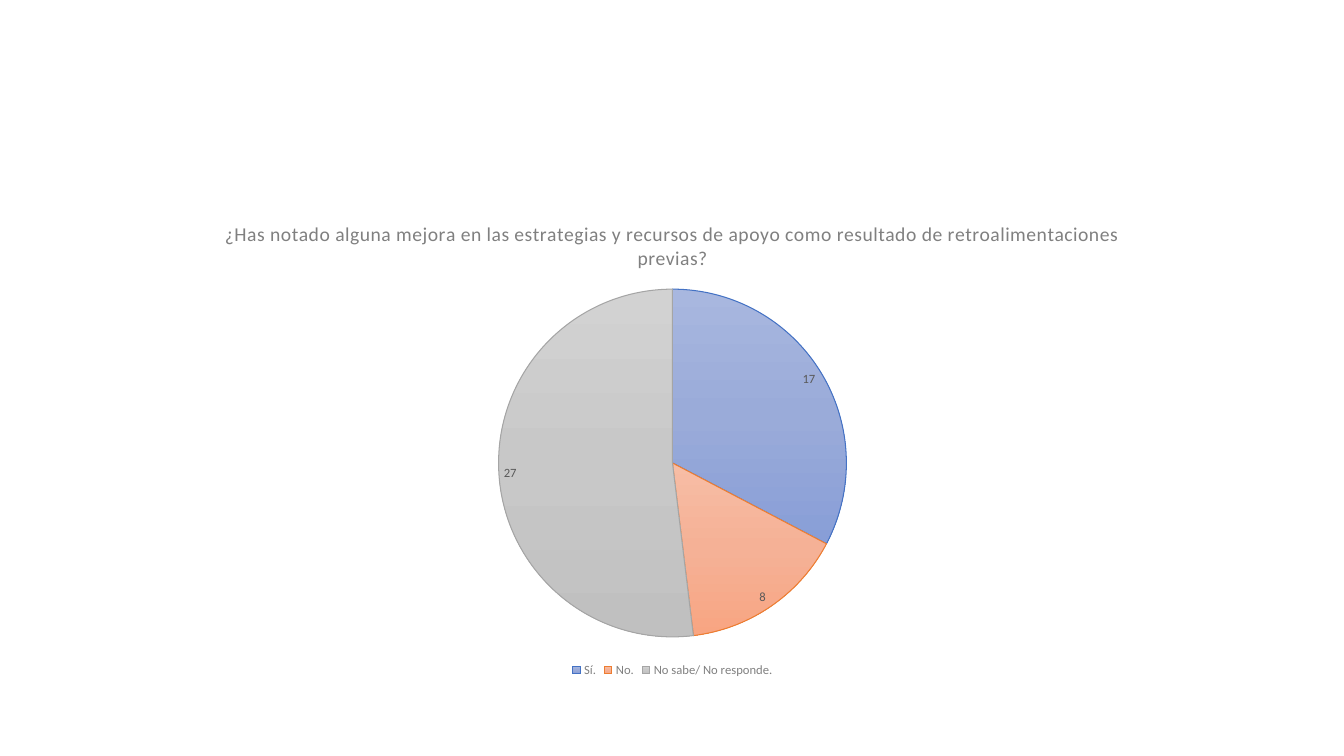
from copy import deepcopy

from lxml import etree
from pptx import Presentation
from pptx import util as u
from pptx.chart import data as cd
from pptx.dml.color import RGBColor
from pptx.enum import chart as ec
from pptx.oxml import ns

TITLE = "¿Has notado alguna mejora en las estrategias y recursos de apoyo como resultado de retroalimentaciones previas?"
GRAY = RGBColor(0x80, 0x80, 0x80)
DARK = RGBColor(0x59, 0x59, 0x59)
BLACK = RGBColor(0, 0, 0)
BLUE = RGBColor(0x44, 0x72, 0xC4)
BLUES = [RGBColor(0xA8, 0xB7, 0xDF), RGBColor(0x9A, 0xAB, 0xD9), RGBColor(0x88, 0x9E, 0xD7)]
CORAL = RGBColor(0xED, 0x7D, 0x31)
CORALS = [RGBColor(0xF7, 0xBD, 0xA5), RGBColor(0xF5, 0xB1, 0x96), RGBColor(0xF8, 0xA5, 0x82)]
SILVER = RGBColor(0xA5, 0xA5, 0xA5)
SILVERS = [RGBColor(0xD2, 0xD2, 0xD2), RGBColor(0xC8, 0xC8, 0xC8), RGBColor(0xC0, 0xC0, 0xC0)]
SLICES = [("Sí.", 17, BLUE, BLUES), ("No.", 8, CORAL, CORALS),
          ("No sabe/ No responde.", 27, SILVER, SILVERS)]


def style(font, size, color):
    font.name = "Calibri"
    font.size = u.Pt(size)
    font.bold = False
    font.color.rgb = color


def add_pie(slide):
    data = cd.CategoryChartData()
    data.categories = [name for name, *_ in SLICES]
    data.add_series("Series 1", [value for _, value, *_ in SLICES])
    frame = slide.shapes.add_chart(ec.XL_CHART_TYPE.PIE, u.Inches(0.92), u.Inches(2),
                                   u.Inches(11.5), u.Inches(4.76), data)
    chart = frame.chart
    style(chart.font, 10, BLACK)
    chart.plots[0].vary_by_categories = True
    return chart


def set_title(chart):
    chart.has_title = True
    para = chart.chart_title.text_frame.paragraphs[0]
    para.text = TITLE
    style(para.font, 14, GRAY)
    para._p.find(".//" + ns.qn("a:defRPr")).set("spc", "25")
    chart.chart_title.include_in_layout = False


def set_legend(chart):
    chart.has_legend = True
    chart.legend.position = ec.XL_LEGEND_POSITION.BOTTOM
    chart.legend.include_in_layout = False
    style(chart.legend.font, 9, GRAY)


def set_labels(plot):
    plot.has_data_labels = True
    labels = plot.data_labels
    labels.show_value = True
    labels.show_percentage = False
    labels.position = ec.XL_LABEL_POSITION.BEST_FIT
    style(labels.font, 9, DARK)


def paint(series, index, edge, shades):
    form = series.points[index].format
    form.line.color.rgb = edge
    form.line.width = u.Pt(0.75)
    form.fill.gradient()
    form.fill.gradient_angle = 270
    stops = list(series._element.iter(ns.qn("a:gsLst")))[-1]
    stops.insert(1, deepcopy(stops[0]))
    for stop, place, shade in zip(form.fill.gradient_stops, (0, 0.5, 1), shades):
        stop.position = place
        stop.color.rgb = shade


def place_plot(chart, **box):
    area = chart._chartSpace.find(".//" + ns.qn("c:plotArea"))
    layout = area.find(ns.qn("c:layout"))
    if layout is None:
        layout = etree.Element(ns.qn("c:layout"))
        area.insert(0, layout)
    manual = etree.SubElement(layout, ns.qn("c:manualLayout"))
    parts = dict(layoutTarget="inner", xMode="edge", yMode="edge", **box)
    for tag, value in parts.items():
        etree.SubElement(manual, ns.qn("c:" + tag)).set("val", str(value))


def main():
    deck = Presentation()
    deck.slide_width, deck.slide_height = u.Inches(13.33), u.Inches(7.5)
    slide = deck.slides.add_slide(deck.slide_layouts[6])
    chart = add_pie(slide)
    set_title(chart)
    set_legend(chart)
    set_labels(chart.plots[0])
    for index, (_, _, edge, shades) in enumerate(SLICES):
        paint(chart.plots[0].series[0], index, edge, shades)
    place_plot(chart, x=0.35, y=0.18, w=0.3, h=0.73)
    deck.save("out.pptx")


if __name__ == "__main__":
    main()
